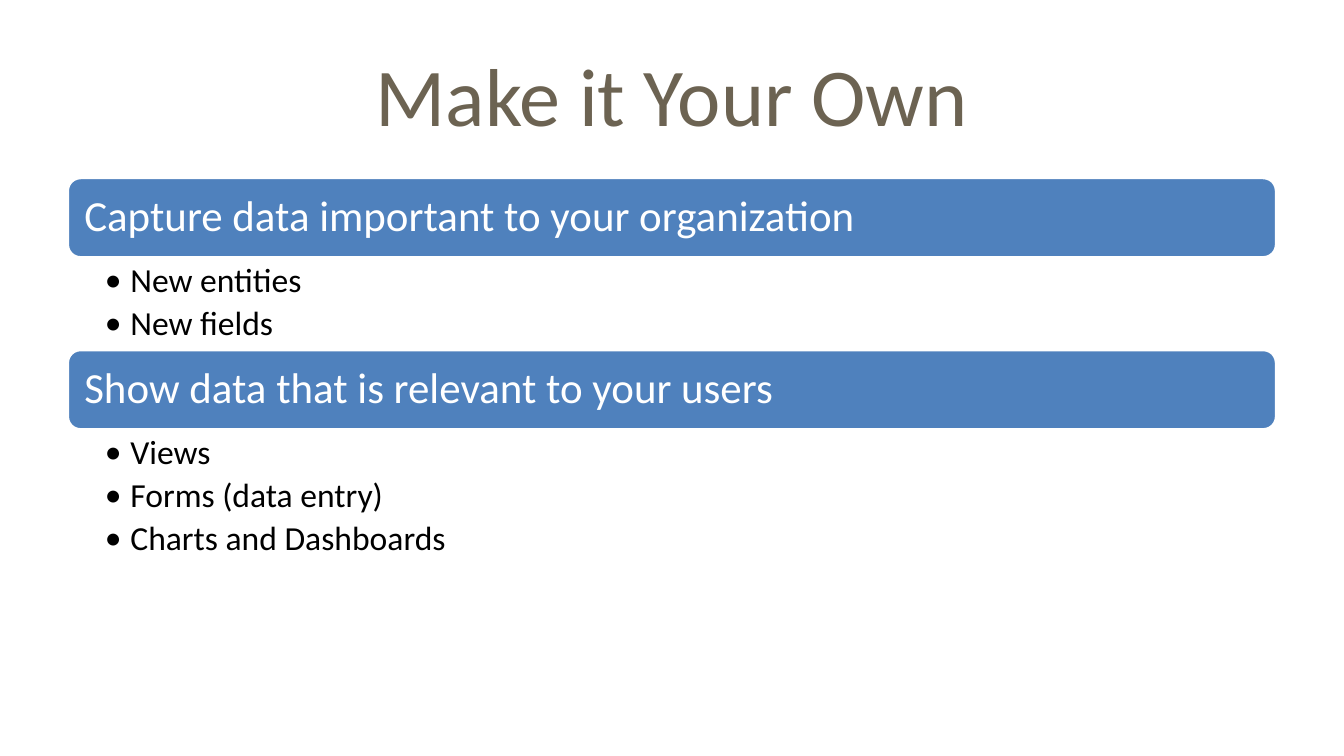
from lxml.etree import SubElement
from pptx import Presentation
from pptx.dml.color import RGBColor
from pptx.enum.shapes import MSO_SHAPE as Preset
from pptx.enum.text import MSO_ANCHOR as Anchor, MSO_AUTO_SIZE as AutoSize, PP_ALIGN as Align
from pptx.oxml.ns import qn
from pptx.util import Inches, Pt

LEFT, WIDTH = 0.5, 9
BAR_HEIGHT = 0.6
SECTIONS = [
    ("Capture data important to your organization", 1.32, 0.68,
     ["New entities", "New fields"]),
    ("Show data that is relevant to your users", 2.6, 1.02,
     ["Views", "Forms (data entry)", "Charts and Dashboards"]),
]


def color(value):
    """Return the colour for a hex string."""
    return RGBColor.from_string(value)


def place(shape, left, top, width, height):
    """Move and size a shape, in inches."""
    shape.left, shape.top = Inches(left), Inches(top)
    shape.width, shape.height = Inches(width), Inches(height)


def set_frame(frame, anchor, left, top, right, bottom):
    """Set the anchor and the insets, in inches, of a text frame."""
    frame.word_wrap = True
    frame.auto_size = AutoSize.NONE
    frame.vertical_anchor = anchor
    frame.margin_left, frame.margin_top = Inches(left), Inches(top)
    frame.margin_right, frame.margin_bottom = Inches(right), Inches(bottom)


def set_font(paragraph, size, hex_color):
    """Set the font of a whole paragraph."""
    font = paragraph.font
    font.name, font.size = "Calibri", Pt(size)
    font.color.rgb = color(hex_color)


def add_bullet(paragraph):
    """Give a paragraph a hanging round bullet."""
    properties = paragraph._p.get_or_add_pPr()
    properties.set("marL", str(Inches(0.19)))
    properties.set("indent", str(Inches(-0.19)))
    SubElement(properties, qn("a:buFont"), typeface="Calibri")
    SubElement(properties, qn("a:buChar"), char="•")


def fill_title(title, text):
    """Write the slide title."""
    place(title, LEFT, 0.23, WIDTH, 0.94)
    set_frame(title.text_frame, Anchor.MIDDLE, 0.1, 0.05, 0.1, 0.05)
    title.text_frame.text = text
    paragraph = title.text_frame.paragraphs[0]
    paragraph.alignment = Align.CENTER
    set_font(paragraph, 44, "6C6352")


def add_bar(slide, text, top):
    """Add a rounded heading bar."""
    bar = slide.shapes.add_shape(Preset.ROUNDED_RECTANGLE, Inches(LEFT), Inches(top),
                                 Inches(WIDTH), Inches(BAR_HEIGHT))
    bar.shadow.inherit = False
    bar.fill.solid()
    bar.fill.fore_color.rgb = color("4F81BD")
    bar.line.color.rgb = color("FFFFFF")
    bar.line.width = Pt(2)
    set_frame(bar.text_frame, Anchor.MIDDLE, 0.1, 0.1, 0.1, 0.1)
    bar.text_frame.text = text
    paragraph = bar.text_frame.paragraphs[0]
    paragraph.alignment = Align.LEFT
    paragraph.line_spacing = 0.9
    set_font(paragraph, 23, "FFFFFF")


def fill_list(body, items, top, height):
    """Write a bulleted list into a body placeholder."""
    place(body, LEFT, top, WIDTH, height)
    frame = body.text_frame
    set_frame(frame, Anchor.TOP, 0.28, 0.04, 0.18, 0.03)
    frame.text = "\n".join(items)
    for paragraph in frame.paragraphs:
        paragraph.level = 1
        add_bullet(paragraph)
        paragraph.line_spacing = 0.9
        paragraph.space_before = Pt(0)
        paragraph.space_after = Pt(3.6)
        set_font(paragraph, 18, "000000")


def main():
    """Build and save the slide."""
    presentation = Presentation()
    presentation.slide_width = Inches(10)
    presentation.slide_height = Inches(10 * 9 / 16)
    slide = presentation.slides.add_slide(presentation.slide_layouts.get_by_name("Two Content"))
    title, *bodies = slide.placeholders
    fill_title(title, "Make it Your Own")
    for body, (heading, top, height, items) in zip(bodies, SECTIONS):
        add_bar(slide, heading, top)
        fill_list(body, items, top + BAR_HEIGHT, height)
    presentation.save("out.pptx")


if __name__ == "__main__":
    main()
